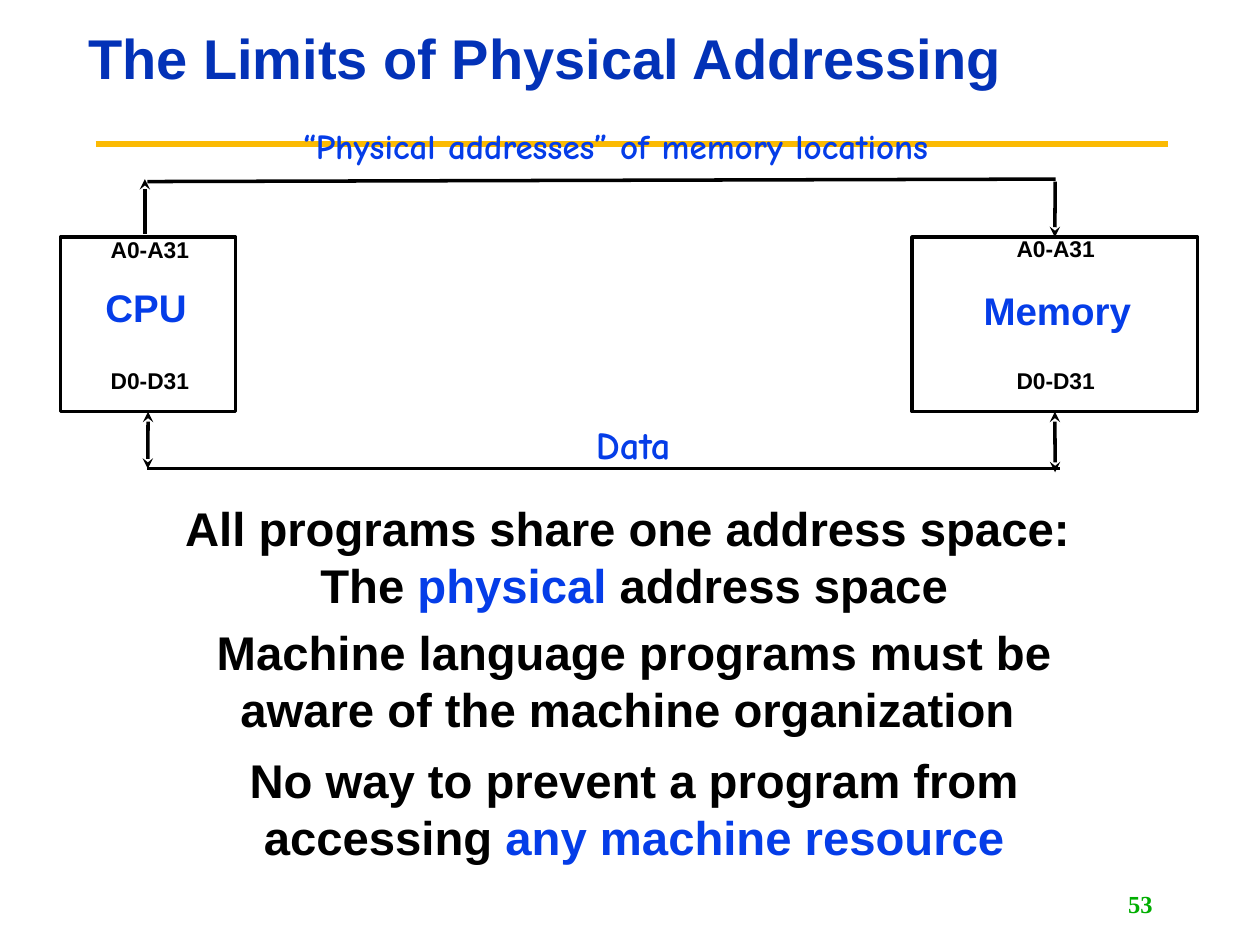
from lxml.etree import SubElement
from pptx import Presentation
from pptx.dml.color import RGBColor
from pptx.enum.shapes import MSO_CONNECTOR, MSO_SHAPE
from pptx.enum.text import MSO_ANCHOR, PP_ALIGN
from pptx.oxml.ns import qn
from pptx.util import Cm, Pt

COLORS = {"title": "0332B7", "blue": "053DE8", "black": "000000",
          "rule": "FBBA03", "number": "00AE00"}
TOP, BOTTOM, LEFT, RIGHT = 0, 2, PP_ALIGN.LEFT, PP_ALIGN.RIGHT

# Content: positions in cm, sizes in points
TITLE = "The Limits of Physical Addressing"
PAGE = "53"
UNITS = {  # name: (box left, box width, name top, name height, name spacing, label centre, address label top)
    "CPU": (1.22, 3.53, 6.05, 0.6, 17, 3.02, 5.05),
    "Memory": (18.39, 5.75, 6.05, 0.66, 19, 21.28, 5.03),
}
UNIT_TOP, UNIT_HEIGHT = 4.78, 3.52
ADDRESS_PINS, DATA_PINS = "A0-A31", "D0-D31"
DATA_PINS_TOP = 7.7
BUS_LABELS = [  # text, left, top, width, height, size
    ("“Physical addresses” of memory locations ", 5.16, 2.51, 14.76, 1.7, 20),
    ("Data", 11.48, 8.48, 2.57, 0.94, 22),
]
STATEMENTS = [  # top, paragraphs of (text, colour) runs
    (10.06, [[("All programs share one address space: ", "black")],
             [("The ", "black"), ("physical", "blue"), (" address space", "black")]]),
    (12.57, [[("Machine language programs must be", "black")],
             [("aware of the machine organization ", "black")]]),
    (15.14, [[("No way to prevent a program from accessing ", "black"),
              ("any machine resource", "blue")]]),
]

prs = Presentation()
prs.slide_width, prs.slide_height = Cm(25.4), Cm(19.05)
slide = prs.slides.add_slide(prs.slide_layouts[6])


def rgb(name):
    return RGBColor.from_string(COLORS[name])


def add_text(paragraphs, left, top, width, height, size, font="Arial", align=PP_ALIGN.CENTER,
             spacing=None, wrap=True, anchor=MSO_ANCHOR.TOP):
    frame = slide.shapes.add_textbox(Cm(left), Cm(top), Cm(width), Cm(height)).text_frame
    frame.margin_left = frame.margin_right = frame.margin_top = frame.margin_bottom = 0
    frame.word_wrap, frame.vertical_anchor = wrap, anchor
    for i, runs in enumerate(paragraphs):
        para = frame.paragraphs[0] if i == 0 else frame.add_paragraph()
        para.alignment = align
        if spacing:
            para.line_spacing = spacing
        para.font.name, para.font.size, para.font.bold = font, Pt(size), True
        if len(runs) == 1:
            para.font.color.rgb = rgb(runs[0][1])
        for text, color in runs:
            run = para.add_run()
            run.text = text
            if len(runs) > 1:
                run.font.color.rgb = rgb(color)


def add_line(x1, y1, x2, y2, color="black", width=2, head=False, tail=False):
    line = slide.shapes.add_connector(MSO_CONNECTOR.STRAIGHT, Cm(x1), Cm(y1), Cm(x2), Cm(y2))
    line.line.color.rgb, line.line.width = rgb(color), Pt(width)
    for wanted, tag in ((head, "a:headEnd"), (tail, "a:tailEnd")):
        if wanted:
            SubElement(line.line._get_or_add_ln(), qn(tag), type="stealth")
    SubElement(line._element.spPr, qn("a:effectLst"))
    return line


# Title, rule and page number
add_line(1.93, 2.9, 23.55, 2.9, "rule", 3.75)
add_text([[(PAGE, "number")]], 18.47, 17.81, 4.77, 0.81, 14, "Times New Roman", RIGHT,
         wrap=False, anchor=MSO_ANCHOR.MIDDLE)
add_text([[(TITLE, "title")]], 1.78, 0.1, 24.2, 2.26, 32, align=LEFT, spacing=0.9,
         anchor=MSO_ANCHOR.MIDDLE)

# CPU and memory boxes with their names and pins
boxes = {}
for name, (left, width, name_top, name_height, spacing, centre, address_top) in UNITS.items():
    box = slide.shapes.add_shape(MSO_SHAPE.RECTANGLE, Cm(left), Cm(UNIT_TOP),
                                 Cm(width), Cm(UNIT_HEIGHT))
    box.shadow.inherit = False
    box.fill.background()
    box.line.color.rgb, box.line.width = rgb("black"), Pt(2)
    boxes[name] = box
    name_centre = left + width / 2 - (0.04 if name == "CPU" else -0.05)
    add_text([[(name, "blue")]], name_centre - 1.5, name_top, 3, name_height, 22,
             spacing=Pt(spacing), wrap=False)
    for pins, top in ((ADDRESS_PINS, address_top), (DATA_PINS, DATA_PINS_TOP)):
        add_text([[(pins, "black")]], centre - 0.8, top, 1.6, 0.25, 13,
                 spacing=Pt(7), wrap=False)

# Address bus: out of the CPU, into the memory
add_line(2.92, 3.61, 2.92, 4.72, head=True)
add_line(21.28, 3.61, 2.97, 3.66)
add_line(21.27, 3.66, 21.27, UNIT_TOP, tail=True).end_connect(boxes["Memory"], TOP)

# Data bus: both ways
add_line(2.97, 9.45, 21.36, 9.45)
for name, x, end in (("CPU", 2.98, 9.45), ("Memory", 21.27, 9.52)):
    add_line(x, UNIT_TOP + UNIT_HEIGHT, x, end, head=True,
             tail=True).begin_connect(boxes[name], BOTTOM)

# Bus labels and statements
for text, left, top, width, height, size in BUS_LABELS:
    add_text([[(text, "blue")]], left, top, width, height, size, "Comic Neue")
for top, paragraphs in STATEMENTS:
    add_text(paragraphs, 3.35, top, 18.87, 2.29, 27)

prs.save("out.pptx")
